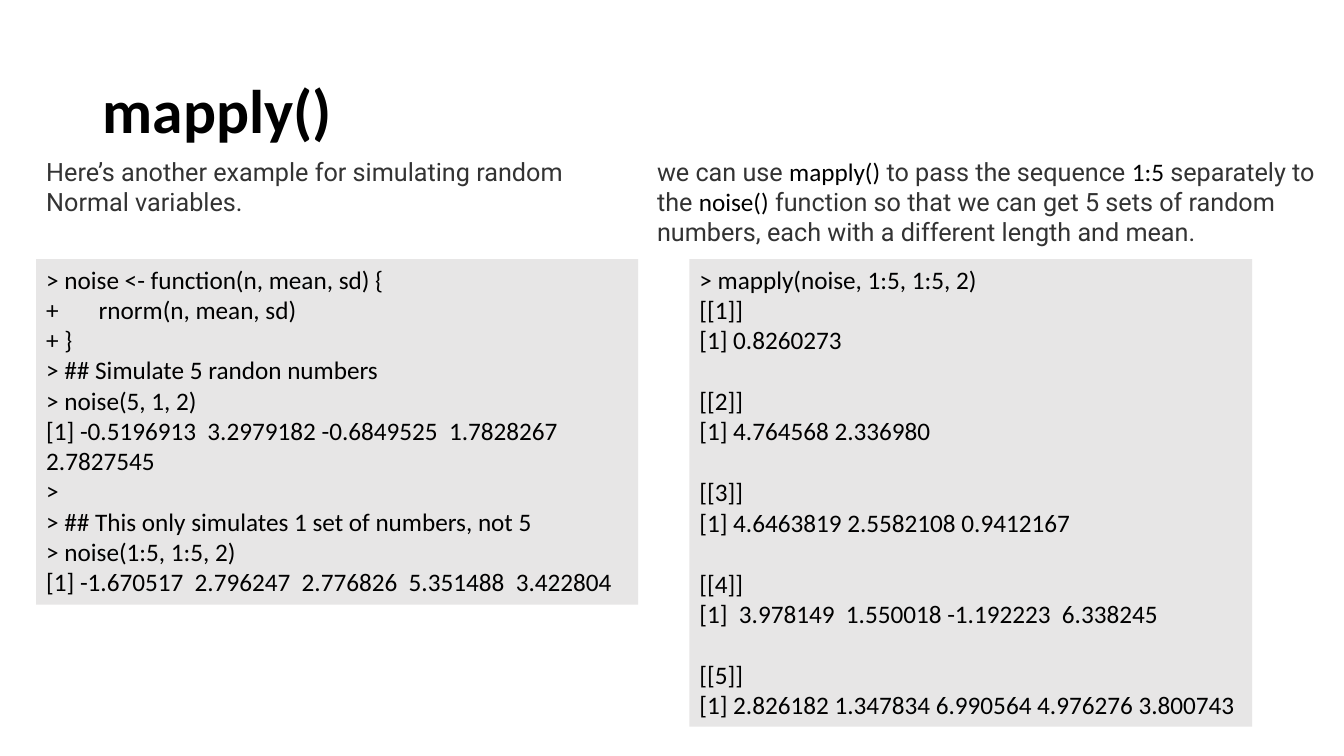
from lxml.etree import SubElement as Sub
from pptx import Presentation
from pptx.dml.color import RGBColor as RGB
from pptx.enum.shapes import MSO_SHAPE as Shape
from pptx.enum.text import MSO_ANCHOR as Anchor, PP_ALIGN as Align
from pptx.oxml.ns import qn
from pptx.util import Inches, Pt

HUES = {"code": "000000", "prose": "333333", "panel": "E7E6E6"}
FACES = {"code": "Calibri", "prose": "Roboto"}
LEFT, RIGHT = 2.7, 48.15
INTRO, CODE = 20, 34.27

NOISE = """> noise <- function(n, mean, sd) {
+\trnorm(n, mean, sd)
+ }
> ## Simulate 5 randon numbers
> noise(5, 1, 2)
[1] -0.5196913  3.2979182 -0.6849525  1.7828267  2.7827545
>
> ## This only simulates 1 set of numbers, not 5
> noise(1:5, 1:5, 2)
[1] -1.670517  2.796247  2.776826  5.351488  3.422804"""

DRAWS = [
    "[1] 0.8260273",
    "[1] 4.764568 2.336980",
    "[1] 4.6463819 2.5582108 0.9412167",
    "[1]  3.978149  1.550018 -1.192223  6.338245",
    "[1] 2.826182 1.347834 6.990564 4.976276 3.800743",
]
SETS = [line for k, draw in enumerate(DRAWS, 1) for line in (f"[[{k}]]", draw)]


class Page:
    """Hold the deck, its slide and its style; lengths are percent of the slide."""

    def __init__(self):
        self.deck = Presentation()
        self.deck.slide_width = Inches(13.33)
        self.deck.slide_height = Inches(7.5)
        self.slide = self.deck.slides.add_slide(self.deck.slide_layouts[5])

    def area(self, x, y, w, h):
        wide, high = self.deck.slide_width, self.deck.slide_height
        return [int(size * part / 100) for size, part in zip((wide, high) * 2, (x, y, w, h))]

    def style(self, font, kind, size=18):
        font.name, font.size = FACES[kind], Pt(size)
        font.color.rgb = RGB.from_string(HUES[kind])

    def title(self, text, *spot):
        box = self.slide.shapes.title
        box.left, box.top, box.width, box.height = self.area(*spot)
        box.text_frame.text = text
        box.text_frame.vertical_anchor = Anchor.MIDDLE
        para = box.text_frame.paragraphs[0]
        para.alignment, para.line_spacing = Align.LEFT, 0.9
        self.style(para.font, "code", 44)
        para.font.bold = True

    def prose(self, text, *spot):
        frame = self.slide.shapes.add_textbox(*self.area(*spot)).text_frame
        frame.word_wrap = True
        para = frame.paragraphs[0]
        for k, part in enumerate(text.split("`")):
            run = para.add_run()
            run.text = part
            self.style(run.font, "code" if k % 2 else "prose")

    def code(self, lines, *spot):
        box = self.slide.shapes.add_shape(Shape.RECTANGLE, *self.area(*spot))
        box.shadow.inherit = False
        box.fill.solid()
        box.fill.fore_color.rgb = RGB.from_string(HUES["panel"])
        box.line.fill.background()
        frame = box.text_frame
        frame.word_wrap, frame.vertical_anchor = True, Anchor.TOP
        frame.text = "\n".join(lines)
        for k, para in enumerate(frame.paragraphs):
            para.alignment = Align.LEFT
            self.style(para.font, "code")
            if lines[k].startswith("[[") and k > 1:
                para.space_before = Pt(22)
            if "\t" in lines[k]:
                self.tab(para, 0.52)

    def tab(self, para, inch):
        props = para._p.get_or_add_pPr()
        tabs = Sub(props, qn("a:tabLst"))
        Sub(tabs, qn("a:tab"), pos=str(Inches(inch)), algn="l")
        props.insert_element_before(tabs, "a:defRPr", "a:extLst")


page = Page()
page.title("mapply()", 6.9, 5.33, 86.25, 19.33)
page.prose("Here’s another example for simulating random Normal variables.",
           LEFT, INTRO, 42.38, 9.47)
page.prose("we can use\u00a0`mapply()`\u00a0to pass the sequence\u00a0`1:5`"
           "\u00a0separately to the\u00a0`noise()`\u00a0function so that we can get "
           "5 sets of random numbers, each with a different length and mean.",
           RIGHT, INTRO, 52.14, 13.47)
page.code(NOISE.split("\n"), LEFT, CODE, 44.78, 45.73)
page.code(["> mapply(noise, 1:5, 1:5, 2)", *SETS], 51.3, CODE, 41.86, 61.87)
page.deck.save("out.pptx")
